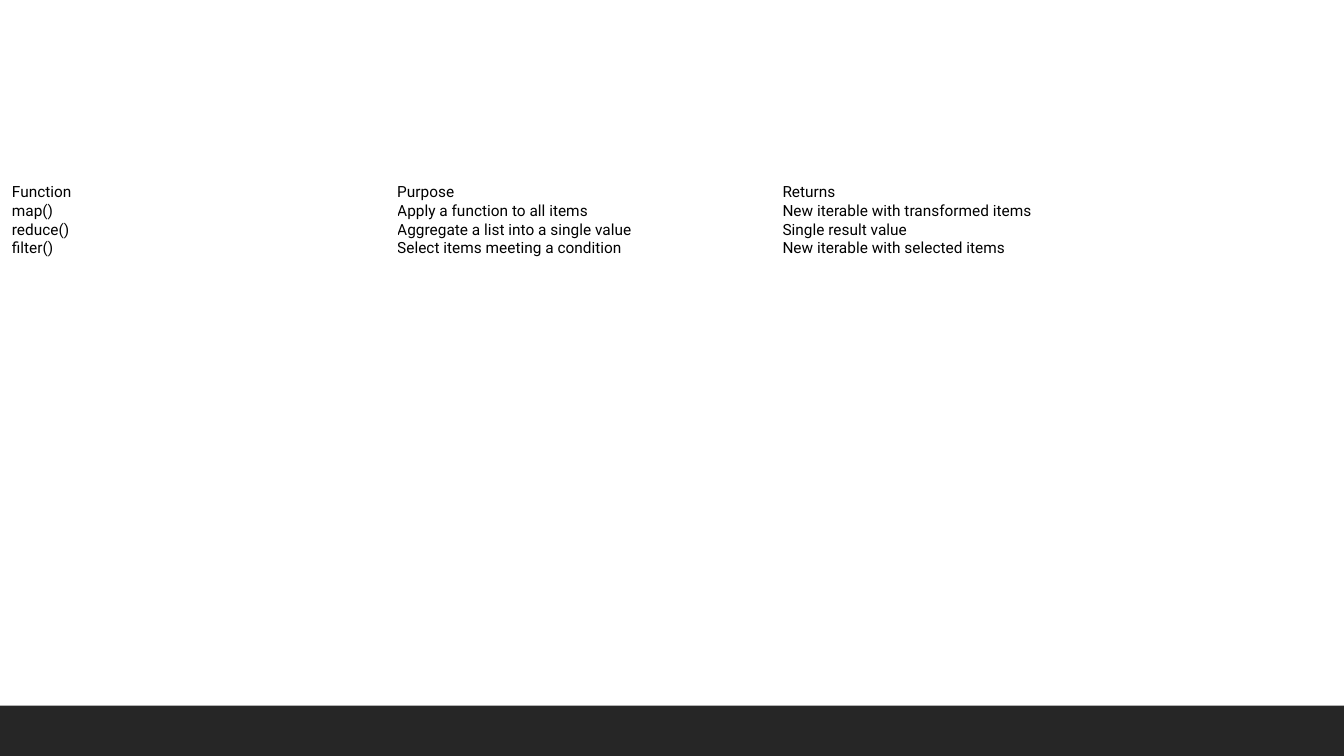
"""Build a slide with a table comparing map(), reduce() and filter()."""
import pptx
import pptx.dml.color
import pptx.enum.shapes
import pptx.enum.text
import pptx.util
from pptx.util import Cm

BLACK = pptx.dml.color.RGBColor(0x00, 0x00, 0x00)
CHARCOAL = pptx.dml.color.RGBColor(0x26, 0x26, 0x26)

SLIDE_WIDTH = Cm(33.87)
SLIDE_HEIGHT = Cm(19.05)
FOOTER_HEIGHT = Cm(1.27)
COLUMN_WIDTH = Cm(9.71)
ROW_HEIGHT = Cm(0.47)

FUNCTIONS = [
    ("Function", "Purpose", "Returns"),
    ("map()", "Apply a function to all items", "New iterable with transformed items"),
    ("reduce()", "Aggregate a list into a single value", "Single result value"),
    ("filter()", "Select items meeting a condition", "New iterable with selected items"),
]


def add_footer_band(slide):
    band = slide.shapes.add_shape(
        pptx.enum.shapes.MSO_SHAPE.RECTANGLE,
        Cm(0), SLIDE_HEIGHT - FOOTER_HEIGHT, SLIDE_WIDTH, FOOTER_HEIGHT)
    band.shadow.inherit = False
    band.fill.solid()
    band.fill.fore_color.rgb = CHARCOAL
    band.line.fill.background()


def fill_cell(cell, text):
    cell.text = text
    cell.fill.background()
    cell.vertical_anchor = pptx.enum.text.MSO_ANCHOR.MIDDLE
    cell.margin_left = cell.margin_right = cell.margin_top = cell.margin_bottom = Cm(0)
    font = cell.text_frame.paragraphs[0].font
    font.name = "Roboto"
    font.size = pptx.util.Pt(11)
    font.color.rgb = BLACK


def add_function_table(slide, rows, left, top):
    column_count = len(rows[0])
    table = slide.shapes.add_table(
        len(rows), column_count, left, top,
        COLUMN_WIDTH * column_count, ROW_HEIGHT * len(rows)).table
    table.first_row = False
    table.horz_banding = False
    for column in table.columns:
        column.width = COLUMN_WIDTH
    for row, texts in zip(table.rows, rows):
        row.height = ROW_HEIGHT
        for cell, text in zip(row.cells, texts):
            fill_cell(cell, text)


def main():
    presentation = pptx.Presentation()
    presentation.slide_width = SLIDE_WIDTH
    presentation.slide_height = SLIDE_HEIGHT
    slide = presentation.slides.add_slide(presentation.slide_layouts[6])
    add_footer_band(slide)
    add_function_table(slide, FUNCTIONS, Cm(0.3), Cm(4.62))
    presentation.save("out.pptx")


if __name__ == "__main__":
    main()
